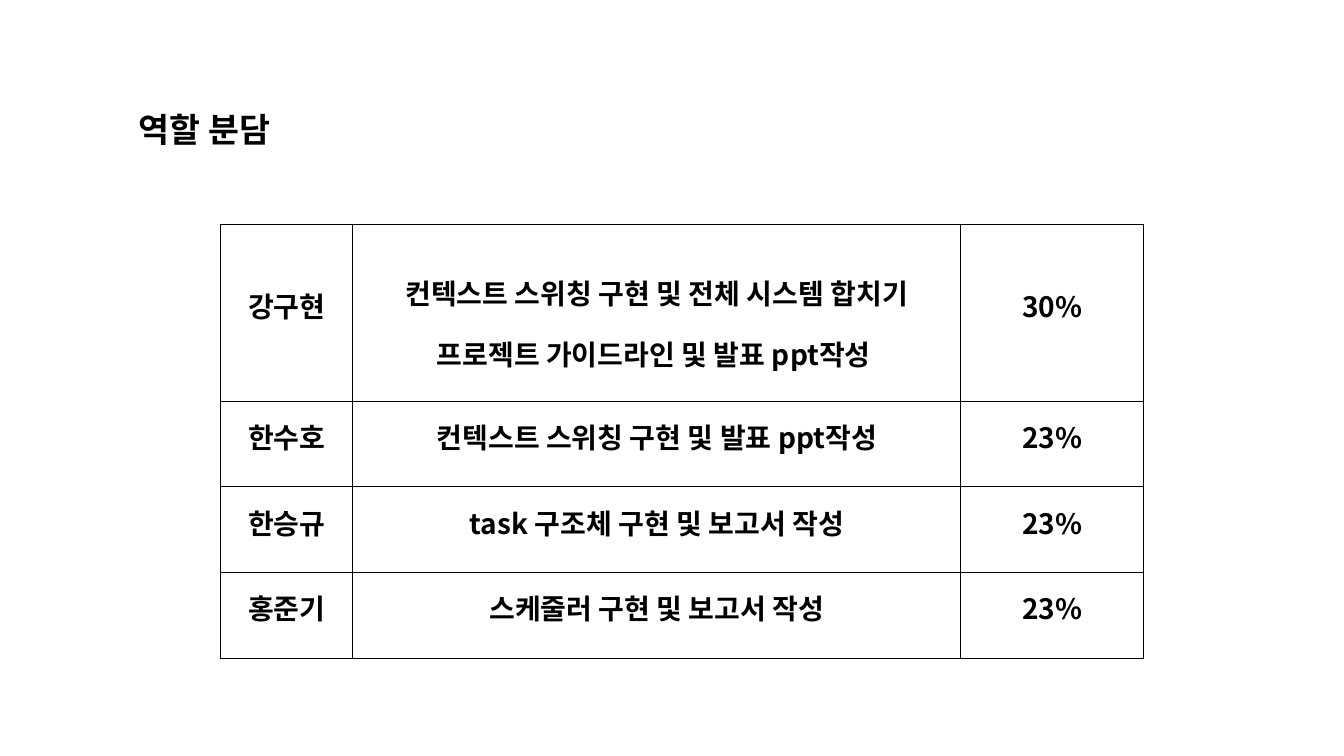
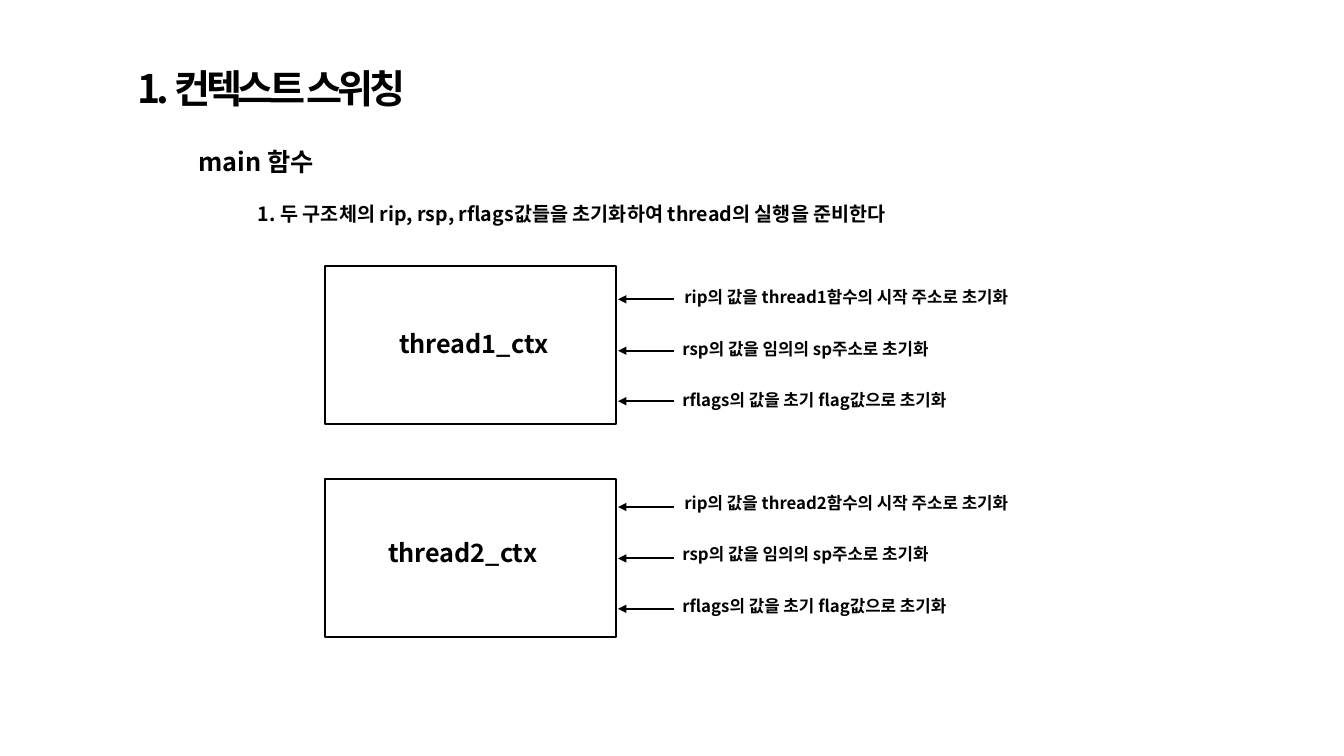
"""Build the role table and context switching slides."""
from dataclasses import dataclass

from pptx import Presentation
from pptx import util as u
from pptx.dml.color import RGBColor
from pptx.enum import shapes, text
from pptx.oxml import ns
from lxml import etree

PX = 9144


@dataclass(frozen=True)
class Theme:
    """Colours, font, type sizes and line widths in points."""
    ink: str = "000000"
    paper: str = "FFFFFF"
    font: str = "Noto Sans CJK KR"
    title: int = 28
    heading: int = 24
    cell: int = 20
    label: int = 18
    body: int = 14
    note: int = 12
    rule: float = 1.5
    border: int = 1


T = Theme()
INK = RGBColor.from_string(T.ink)

COLUMNS = (131, 603, 181)
ROWS = (175, 85, 85, 85)
ROLES = (
    ("강구현", "컨텍스트 스위칭 구현 및 전체 시스템 합치기 프로젝트 가이드라인 및 발표 ppt작성 ", "30%"),
    ("한수호", "컨텍스트 스위칭 구현 및 발표 ppt작성", "23%"),
    ("한승규", "task 구조체 구현 및 보고서 작성", "23%"),
    ("홍준기", "스케줄러 구현 및 보고서 작성", "23%"),
)


def px(*lengths):
    """Turn px lengths into EMU."""
    return [u.Emu(n * PX) for n in lengths]


def sub(parent, tag, **attrs):
    """Append a drawing element to a parent."""
    return etree.SubElement(parent, ns.qn(tag), attrs)


def style_run(r, size, spacing=None):
    """Give a run the shared bold face."""
    r.font.size, r.font.bold, r.font.name = u.Pt(size), True, T.font
    r.font.color.rgb = INK
    rpr = r.font._element
    sub(rpr, "a:ea", typeface=T.font)
    if spacing is not None:
        rpr.set("spc", str(spacing * 100))


def add_text(s, words, box, size, spacing=None, wrap=True):
    """Add one line of text in a growing text box."""
    tf = s.shapes.add_textbox(*px(*box)).text_frame
    tf.word_wrap = wrap
    tf.auto_size = text.MSO_AUTO_SIZE.SHAPE_TO_FIT_TEXT
    tf.text = words
    style_run(tf.paragraphs[0].runs[0], size, spacing)


def add_box(s, box):
    """Add an outlined rectangle."""
    sp = s.shapes.add_shape(shapes.MSO_SHAPE.RECTANGLE, *px(*box))
    sp.shadow.inherit = False
    sp.fill.background()
    sp.line.color.rgb, sp.line.width = INK, u.Pt(T.rule)


def add_arrow(s, start, end, y):
    """Add a level arrow pointing at its end."""
    line = s.shapes.add_connector(shapes.MSO_CONNECTOR.STRAIGHT, *px(start, y, end, y))
    line.line.color.rgb, line.line.width = INK, u.Pt(T.rule)
    sub(line.line._get_or_add_ln(), "a:tailEnd", type="triangle")
    sub(line._element.spPr, "a:effectLst")


def style_cell(cell, line_spacing):
    """Format a bordered table cell."""
    cell.margin_left, cell.margin_right, cell.margin_top, cell.margin_bottom = px(13, 13, 0, 0)
    cell.vertical_anchor = text.MSO_ANCHOR.MIDDLE
    p = cell.text_frame.paragraphs[0]
    p.alignment = text.PP_ALIGN.CENTER
    p.line_spacing, p.space_before, p.space_after = line_spacing, u.Pt(6), u.Pt(4.8)
    style_run(p.runs[0], T.cell)
    tcpr = cell._tc.get_or_add_tcPr()
    for edge in ("a:lnL", "a:lnR", "a:lnT", "a:lnB"):
        ln = sub(tcpr, edge, w=str(u.Pt(T.border)))
        sub(sub(ln, "a:solidFill"), "a:srgbClr", val=T.ink)
    cell.fill.background()


def add_role_table(s, left, top):
    """Add the table of members, tasks and shares."""
    frame = s.shapes.add_table(len(ROWS), len(COLUMNS), *px(left, top, sum(COLUMNS), sum(ROWS)))
    table = frame.table
    table.first_row = table.horz_banding = False
    for column, width in zip(table.columns, px(*COLUMNS)):
        column.width = width
    for row, height, role in zip(table.rows, px(*ROWS), ROLES):
        row.height = height
        for cell, words in zip(row.cells, role):
            cell.text = words
            is_long = words == ROLES[0][1]
            style_cell(cell, 1.5 if is_long else u.Pt(18))


def add_context(s, thread, box_top, label_at, arrow_top, note_top):
    """Add a thread context box with its three register notes."""
    add_box(s, (322, box_top, 289, 157))
    add_text(s, f"{thread}_ctx", (*label_at, 202, 40), T.label)
    notes = (
        (f"rip의 값을 {thread}함수의 시작 주소로 초기화", 669, 370),
        ("rsp의 값을 임의의 sp주소로 초기화", 667, 289),
        ("rflags의 값을 초기 flag값으로 초기화", 667, 310),
    )
    for i, (words, left, width) in enumerate(notes):
        add_arrow(s, 668, 613, arrow_top + 50 * i + (i > 0))
        add_text(s, words, (left, note_top + 51 * i, width, 30), T.note)


def add_slide(prs):
    """Add a blank slide with the plain background."""
    s = prs.slides.add_slide(prs.slide_layouts[6])
    s.background.fill.solid()
    s.background.fill.fore_color.rgb = RGBColor.from_string(T.paper)
    return s


def build_roles(prs):
    """Build the division of roles slide."""
    s = add_slide(prs)
    add_text(s, "역할 분담", (128, 103, 217, 50), T.heading)
    add_role_table(s, 219, 223)


def build_switching(prs):
    """Build the context switching slide."""
    s = add_slide(prs)
    add_text(s, "1. 컨텍스트 스위칭", (127, 59, 310, 57), T.title, spacing=-3, wrap=False)
    add_text(s, "main 함수", (187, 140, 361, 40), T.label)
    add_text(s, "1. 두 구조체의 rip, rsp, rflags값들을 초기화하여 thread의 실행을 준비한다",
             (246, 195, 715, 34), T.body)
    add_context(s, "thread1", 264, (386, 321), 297, 280)
    add_context(s, "thread2", 475, (375, 528), 503, 484)


def main():
    """Build and save the presentation."""
    prs = Presentation()
    prs.slide_width, prs.slide_height = u.Inches(13.33), u.Inches(7.5)
    build_roles(prs)
    build_switching(prs)
    prs.save("out.pptx")


if __name__ == "__main__":
    main()
